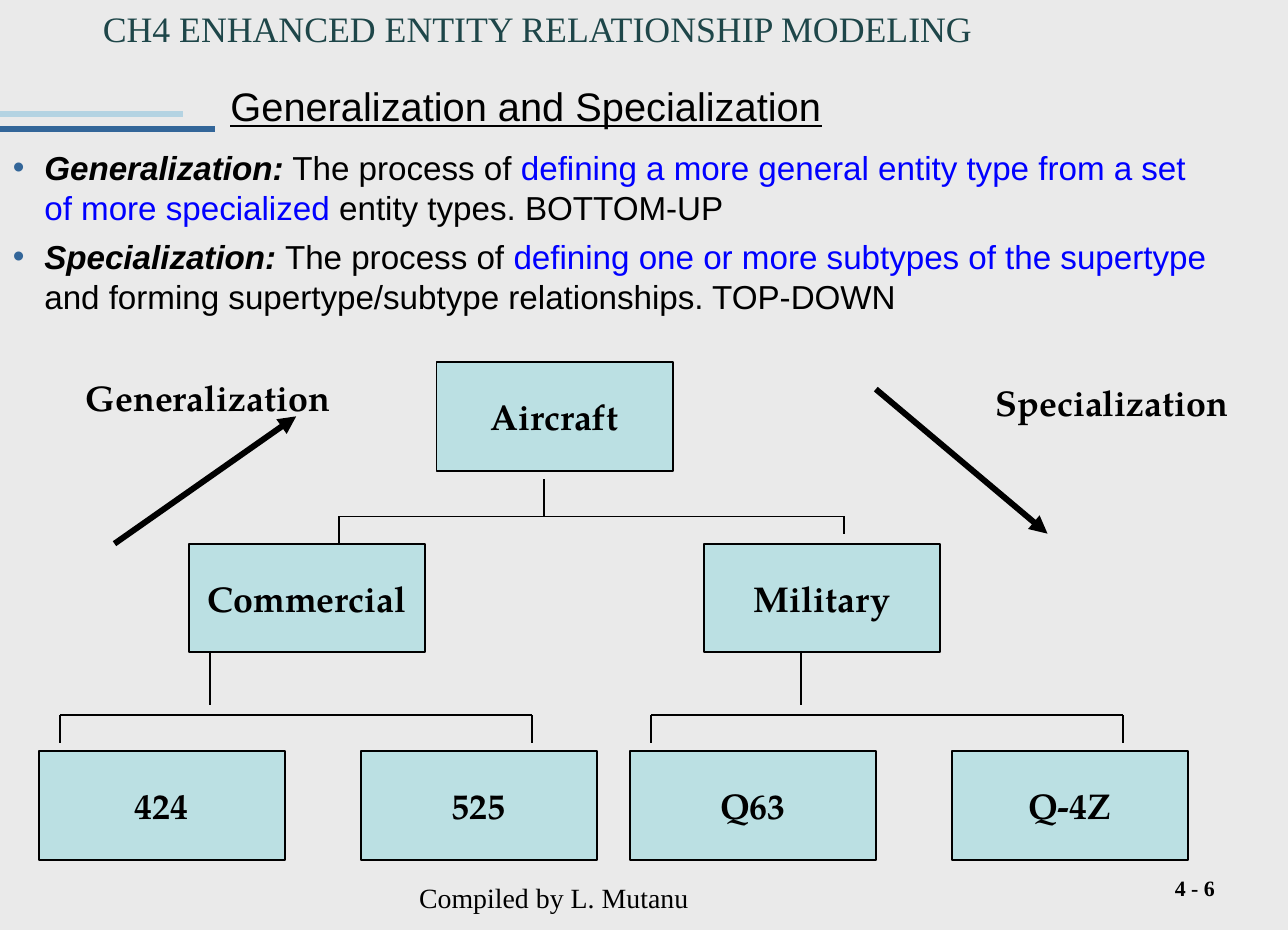
from lxml.etree import SubElement
from pptx import Presentation
from pptx.dml.color import RGBColor
from pptx.enum.shapes import MSO_CONNECTOR, MSO_SHAPE
from pptx.enum.text import MSO_ANCHOR, MSO_AUTO_SIZE, PP_ALIGN
from pptx.oxml.ns import qn
from pptx.util import Emu, Pt

# Content: lengths in px, 100 px to the inch
SERIF, SANS, DIAGRAM = "Times New Roman", "Arial", "TeX Gyre Pagella"
BLACK, BLUE, STEEL, PALE, TEAL, BOX = "000000", "0000FF", "336699", "B4D3E2", "1E4649", "BBE0E3"
BACKGROUND = "EAEAEA"

TITLE = "Generalization and Specialization"
DEFINITIONS = [
    ("Generalization:", "defining a more general entity type from a set of more specialized ",
     "entity types. BOTTOM-UP"),
    ("Specialization:", "defining one or more subtypes of the supertype ",
     "and forming supertype/subtype relationships. TOP-DOWN"),
]
RULES = [(90, 150, STEEL), (80, 128, PALE)]  # y, length, colour
LABELS = [  # text, box, format
    ("4 - 6", (773, 607, 85, 29),
     dict(font=SERIF, size=11, bold=True, align=PP_ALIGN.RIGHT, margins=(9, 4))),
    ("Compiled by L. Mutanu", (283, 611, 220, 34), dict(font=SERIF, size=14)),
    ("CH4 ENHANCED ENTITY RELATIONSHIP MODELING", (62, 0, 806, 40),
     dict(font=SERIF, size=18, color=TEAL)),
    ("Generalization", (50, 258, 209, 40), dict(bold=True, wrap=False)),
    ("Specialization", (686, 261, 199, 40), dict(bold=True, wrap=False)),
]
BOX_HEIGHT = 76
LEVELS = [  # top, boxes as (name, left, width)
    (253, [("Aircraft", 305, 165)]),
    (380, [("Commercial", 132, 165), ("Military", 492, 165)]),
    (525, [("424", 27, 172), ("525", 252, 165), ("Q63", 440, 172), ("Q-4Z", 665, 165)]),
]
BRANCHES = [  # stem (x, top, bottom), bar y, drops (x, bottom)
    ((380, 335, 361), 361, [(237, 380), (590, 373)]),
    ((147, 455, 493), 500, [(42, 519), (372, 519)]),
    ((560, 455, 493), 500, [(455, 519), (785, 519)]),
]
ARROWS = [(80, 380, 207, 291), (612, 272, 732, 373)]


def px(length):
    return Emu(length * 9144)


def rgb(value):
    return RGBColor.from_string(value)


def write(shape, paragraphs, *, font=DIAGRAM, size=18, color=BLACK, bold=False, underline=False,
          align=PP_ALIGN.LEFT, anchor=MSO_ANCHOR.TOP, margins=(10, 5), wrap=True):
    """Fill a shape; each paragraph is a string or a list of (text, run format)."""
    frame = shape.text_frame
    frame.auto_size, frame.word_wrap = MSO_AUTO_SIZE.NONE, wrap
    frame.vertical_anchor = anchor
    frame.margin_left = frame.margin_right = px(margins[0])
    frame.margin_top = frame.margin_bottom = px(margins[1])
    for index, content in enumerate(paragraphs):
        paragraph = frame.add_paragraph() if index else frame.paragraphs[0]
        paragraph.alignment = align
        for text, style in [(content, {})] if isinstance(content, str) else content:
            run = paragraph.add_run()
            run.text = text
            run.font.name, run.font.size = font, Pt(size)
            run.font.bold = style.get("bold", bold)
            run.font.italic = style.get("italic", False)
            run.font.underline = underline
            run.font.color.rgb = rgb(style.get("color", color))
    return frame


def add_line(shapes, x1, y1, x2, y2, color=BLACK, width=1, arrow=False):
    line = shapes.add_connector(MSO_CONNECTOR.STRAIGHT, px(x1), px(y1), px(x2), px(y2))
    line.line.color.rgb, line.line.width = rgb(color), Pt(width)
    if arrow:
        SubElement(line.line._get_or_add_ln(), qn("a:tailEnd"), type="triangle")
    SubElement(line._element.spPr, qn("a:effectLst"))


def add_bullet(paragraph, indent):
    properties = paragraph._p.get_or_add_pPr()
    properties.set("marL", str(px(indent)))
    properties.set("indent", str(px(-indent)))
    SubElement(SubElement(properties, qn("a:buClr")), qn("a:srgbClr"), val=STEEL)
    SubElement(properties, qn("a:buFont"), typeface=SANS)
    SubElement(properties, qn("a:buChar"), char="•")


def main():
    deck = Presentation()
    deck.slide_width, deck.slide_height = px(900), px(650)
    slide = deck.slides.add_slide(deck.slide_layouts[5])
    shapes = slide.shapes
    slide.background.fill.solid()
    slide.background.fill.fore_color.rgb = rgb(BACKGROUND)

    # Title with its two rules
    for y, length, color in RULES:
        add_line(shapes, 0, y, length, y, color, 3)
    title = shapes.title
    title.left, title.top, title.width, title.height = map(px, (152, 45, 713, 58))
    write(title, [TITLE], font=SANS, size=20, underline=True,
          anchor=MSO_ANCHOR.MIDDLE, margins=(9, 4))

    # Definitions
    definitions = shapes.add_textbox(*map(px, (0, 99, 860, 129)))
    frame = write(definitions, [
        [(term, dict(bold=True, italic=True)), (" The process of ", {}),
         (key_phrase, dict(color=BLUE)), (ending, {})]
        for term, key_phrase, ending in DEFINITIONS
    ], font=SANS, size=16.7, margins=(9, 4))
    for paragraph in frame.paragraphs:
        paragraph.space_before = Pt(4.5)
        add_bullet(paragraph, 22)

    # Hierarchy boxes
    for top, boxes in LEVELS:
        for name, left, width in boxes:
            box = shapes.add_shape(MSO_SHAPE.RECTANGLE, *map(px, (left, top, width, BOX_HEIGHT)))
            box.shadow.inherit = False
            box.fill.solid()
            box.fill.fore_color.rgb = rgb(BOX)
            box.line.color.rgb, box.line.width = rgb(BLACK), Pt(1)
            write(box, [name], bold=True, align=PP_ALIGN.CENTER,
                  anchor=MSO_ANCHOR.MIDDLE, wrap=False)

    # Branches: a stem, a bar and a drop at each end of the bar
    for (stem_x, stem_top, stem_bottom), bar_y, drops in BRANCHES:
        add_line(shapes, stem_x, stem_top, stem_x, stem_bottom)
        add_line(shapes, drops[0][0], bar_y, drops[-1][0], bar_y)
        for x, bottom in drops:
            add_line(shapes, x, bar_y, x, bottom)

    # Direction arrows
    for ends in ARROWS:
        add_line(shapes, *ends, width=3, arrow=True)

    # Header, footer and arrow labels
    for text, box, style in LABELS:
        write(shapes.add_textbox(*map(px, box)), [text], **style)

    deck.save("out.pptx")


if __name__ == "__main__":
    main()
